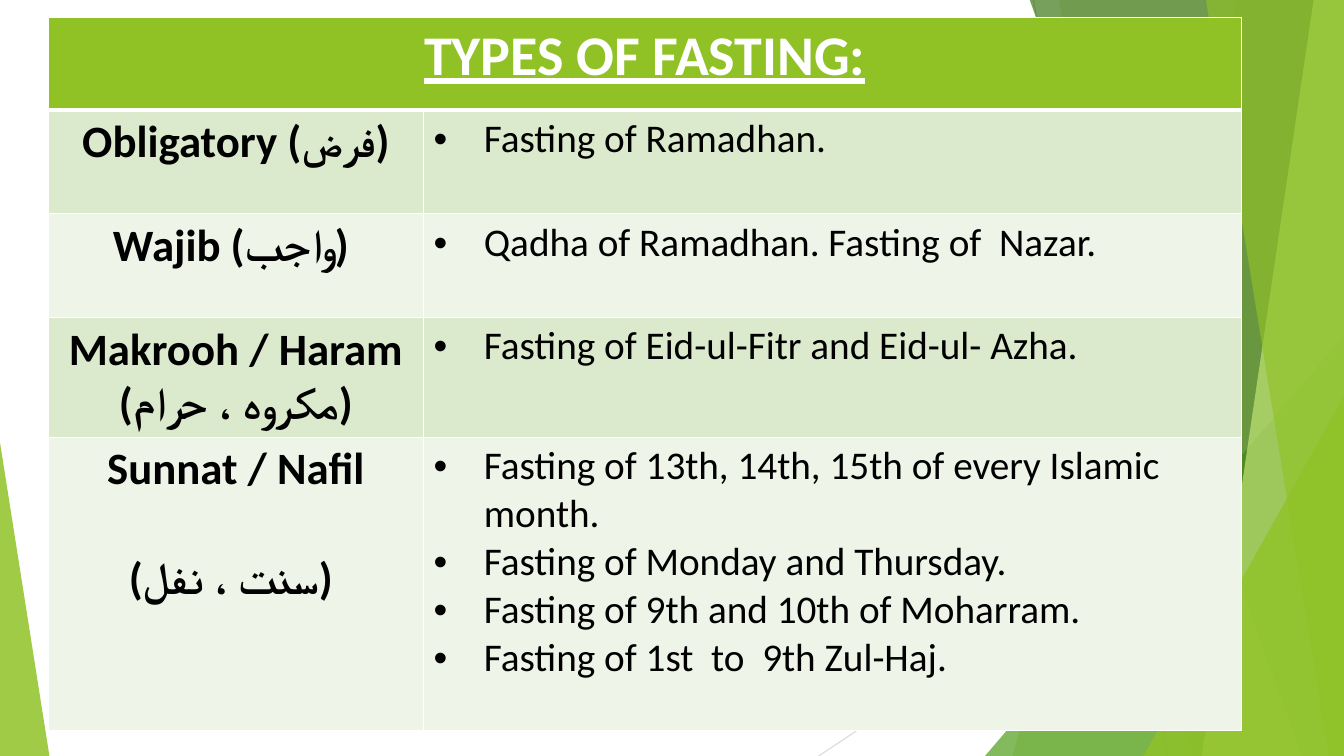
"""Builds the slide on the types of fasting."""
from lxml.etree import SubElement
from pptx import Presentation
from pptx.dml.color import RGBColor
from pptx.enum.shapes import MSO_CONNECTOR as CONNECTOR, MSO_SHAPE as SHAPE
from pptx.enum.text import PP_ALIGN as ALIGN
from pptx.oxml import parse_xml
from pptx.oxml.ns import nsdecls, qn
from pptx.util import Inches, Pt

TITLE = "TYPES OF FASTING:"
TYPES = [
    (["Obligatory (فرض)"], ["Fasting of Ramadhan."]),
    (["Wajib (واجب) "], ["Qadha of Ramadhan. Fasting of  Nazar."]),
    (["Makrooh / Haram", "(مکروہ ، حرام)"],
     ["Fasting of Eid-ul-Fitr and Eid-ul- Azha."]),
    (["Sunnat / Nafil", "(سنت ، نفل) "],
     ["Fasting of 13th, 14th, 15th of every Islamic month.",
      "Fasting of Monday and Thursday.",
      "Fasting of 9th and 10th of Moharram.",
      "Fasting of 1st  to  9th Zul-Haj."]),
]
LAST_NAME_GAP = 39
COLUMNS = [3.72, 8.11]
ROWS = [0.92, 1.03, 1.03, 1.11, 2.91]
TABLE_LEFT, TABLE_TOP = 0.48, 0.17
GREEN, WHITE, BLACK = "90C226", "FFFFFF", "000000"
BANDS = ["DBE9CD", "EEF4E8"]

WIDTH, HEIGHT, FACET_TOP = 13.33, 7.5, -0.01
RAYS = [((10.25, 0), (11.58, HEIGHT), "BFBFBF"),
        ((WIDTH, 4.03), (8.12, HEIGHT), "D9D9D9")]
FACETS = [
    ("band", 12.28, 10.04, GREEN, 30),
    ("band", 10.5, 11.83, GREEN, 20),
    ("triangle", (9.77, 3.33, 3.56, 4.17), 1, "54A021", 72),
    ("band", 10.21, 12.91, "3F7819", 70),
    ("band", 13.03, 11.92, "C0E474", 70),
    ("band", 11.96, 13.18, GREEN, 65),
    ("triangle", (11.34, 3.93, 1.99, 3.57), 1, GREEN, 80),
    ("triangle", (0, 4.39, 0.49, 3.11), 0, GREEN, 85),
]


def paint(fill, colour):
    fill.solid()
    fill.fore_color.rgb = RGBColor.from_string(colour)


def add_ray(slide, start, end, colour):
    ray = slide.shapes.add_connector(
        CONNECTOR.STRAIGHT, *(Inches(v) for v in start + end))
    paint(ray.line.fill, colour)
    ray.line.width = Pt(0.75)
    SubElement(ray._element.spPr, qn("a:effectLst"))


def add_facet(slide, kind, place, end, colour, opacity):
    if kind == "band":
        corners = [(place, FACET_TOP), (WIDTH, FACET_TOP),
                   (WIDTH, HEIGHT), (end, HEIGHT)]
        corners = [(Inches(x), Inches(y)) for x, y in corners]
        builder = slide.shapes.build_freeform(*corners[0], scale=1.0)
        builder.add_line_segments(corners[1:], close=True)
        facet = builder.convert_to_shape()
    else:
        facet = slide.shapes.add_shape(
            SHAPE.ISOSCELES_TRIANGLE, *(Inches(v) for v in place))
        facet.adjustments[0] = end
    facet.shadow.inherit = False
    facet.line.fill.background()
    paint(facet.fill, colour)
    tint = facet._element.spPr.find(qn("a:solidFill"))[0]
    SubElement(tint, qn("a:alpha"), val=str(opacity * 1000))


def write(cell, lines, size, colour=BLACK, bold=False, underline=False,
          bullet=False, gap=0):
    frame = cell.text_frame
    for number, line in enumerate(lines):
        paragraph = frame.add_paragraph() if number else frame.paragraphs[0]
        if bullet:
            properties = paragraph._p.get_or_add_pPr()
            properties.set("marL", str(Inches(0.5)))
            properties.set("indent", str(Inches(-0.5)))
            SubElement(properties, qn("a:buFont"), typeface="Arial")
            SubElement(properties, qn("a:buChar"), char="•")
        else:
            paragraph.alignment = ALIGN.CENTER
        if number and gap:
            paragraph.space_before = Pt(gap)
        run = paragraph.add_run()
        run.text = line
        font = run.font
        font.name, font.size = "Calibri", Pt(size)
        font.bold, font.underline = bold, underline
        font.color.rgb = RGBColor.from_string(colour)


def style_cell(cell, colour, top=1, bottom=1):
    paint(cell.fill, colour)
    widths = {"lnL": 1, "lnR": 1, "lnT": top, "lnB": bottom}
    for place, (side, points) in enumerate(widths.items()):
        cell._tc.tcPr.insert(place, parse_xml(
            f'<a:{side} {nsdecls("a")} w="{Pt(points)}"><a:solidFill>'
            f'<a:srgbClr val="{WHITE}"/></a:solidFill></a:{side}>'))


def add_fasting_table(slide):
    table = slide.shapes.add_table(
        len(ROWS), len(COLUMNS), Inches(TABLE_LEFT), Inches(TABLE_TOP),
        Inches(sum(COLUMNS)), Inches(sum(ROWS))).table
    for column, width in zip(table.columns, COLUMNS):
        column.width = Inches(width)
    for row, height in zip(table.rows, ROWS):
        row.height = Inches(height)
    for cell in table.rows[0].cells:
        style_cell(cell, GREEN, bottom=3)
    table.cell(0, 0).merge(table.cell(0, 1))
    write(table.cell(0, 0), [TITLE], 40, colour=WHITE, bold=True, underline=True)
    for number, (names, fasts) in enumerate(TYPES, 1):
        name_cell, fasts_cell = table.rows[number].cells
        for cell in (name_cell, fasts_cell):
            style_cell(cell, BANDS[(number - 1) % 2], top=3 if number == 1 else 1)
        gap = LAST_NAME_GAP if number == len(TYPES) else 0
        write(name_cell, names, 32, bold=True, gap=gap)
        write(fasts_cell, fasts, 28, bullet=True)


def main():
    deck = Presentation()
    deck.slide_width, deck.slide_height = Inches(WIDTH), Inches(HEIGHT)
    slide = deck.slides.add_slide(deck.slide_layouts[6])
    paint(slide.background.fill, WHITE)
    for ray in RAYS:
        add_ray(slide, *ray)
    for facet in FACETS:
        add_facet(slide, *facet)
    add_fasting_table(slide)
    deck.save("out.pptx")


if __name__ == "__main__":
    main()
